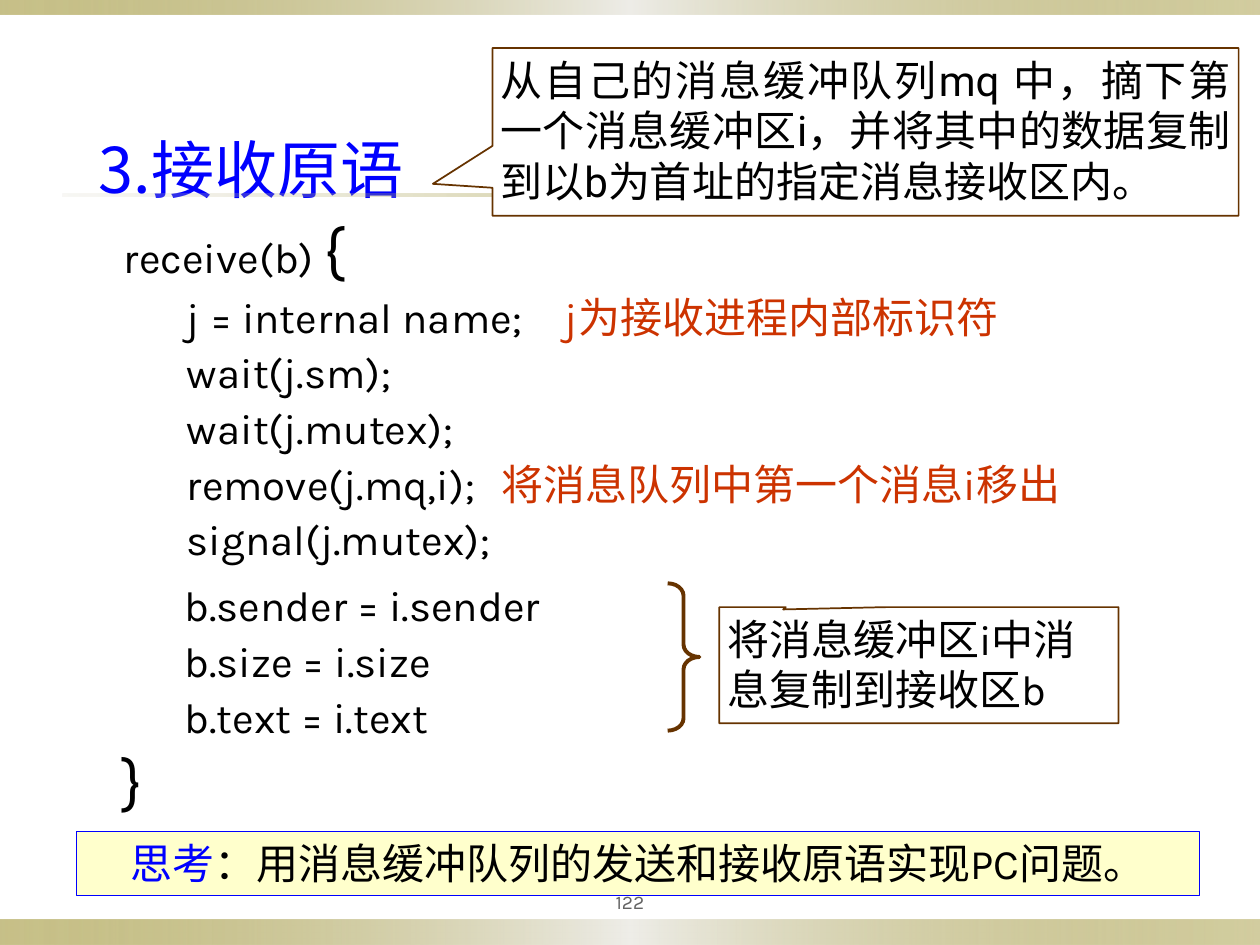
"""Build the slide on the receive primitive of message buffering."""
from lxml import etree
from pptx import Presentation
from pptx.dml.color import RGBColor
from pptx.enum.shapes import MSO_SHAPE
from pptx.enum.text import MSO_ANCHOR, PP_ALIGN
from pptx.oxml import parse_xml
from pptx.util import Cm, Pt

NS = "http://schemas.openxmlformats.org/drawingml/2006/main"
HAN, CODE, MIX = "Noto Sans CJK SC", "Karla", "Roboto"
BLACK, BLUE, RED, BROWN = "000000", "0000FF", "CC3300", "663300"
LEFT, MID, JUST = PP_ALIGN.LEFT, PP_ALIGN.CENTER, PP_ALIGN.JUSTIFY

deck = Presentation()
deck.slide_width, deck.slide_height = Cm(25.4), Cm(19.05)
slide = deck.slides.add_slide(deck.slide_layouts[5])
shapes = slide.shapes


def style(font, size=None, color=None, face=None):
    if size:
        font.size = Pt(size)
    if color:
        font.color.rgb = RGBColor.from_string(color)
    if face:
        font.name = face
        etree.SubElement(font._element, f"{{{NS}}}ea", typeface=HAN)


def write(shape, lines, align, size=24, color=BLACK, face=CODE, anchor=MSO_ANCHOR.TOP):
    frame = shape.text_frame
    frame.word_wrap, frame.vertical_anchor = True, anchor
    frame.margin_left = frame.margin_right = Cm(0.16)
    frame.margin_top = frame.margin_bottom = Cm(0.13)
    for i, runs in enumerate(lines):
        para = frame.paragraphs[0] if i == 0 else frame.add_paragraph()
        para.alignment = align
        style(para.font, size, color, face)
        for text, *look in runs:
            run = para.add_run()
            run.text = text
            style(run.font, *look)
    return frame.paragraphs


bars = [
    (0, 18.54, 25.4, 0.51, ("918415", 50), ("EEEDE8", 100), ("918415", 40)),
    (0, 0, 25.4, 0.3, ("918415", 50), ("EEEDE8", 100), ("918415", 40)),
    (1.27, 3.91, 22.86, 0.05, ("DCD9CC", 20), ("918415", 40), ("DCD9CC", 50)),
]
for x, y, w, h, *stops in bars:
    bar = shapes.add_shape(MSO_SHAPE.RECTANGLE, Cm(x), Cm(y), Cm(w), Cm(h))
    bar.shadow.inherit = False
    bar.line.fill.background()
    bar.fill.background()
    marks = "".join(
        f'<a:gs pos="{i * 50000}"><a:srgbClr val="{tone}"><a:alpha val="{alpha * 1000}"/>'
        f"</a:srgbClr></a:gs>"
        for i, (tone, alpha) in enumerate(stops))
    grad = parse_xml(f'<a:gradFill xmlns:a="{NS}"><a:gsLst>{marks}</a:gsLst>'
                     '<a:lin ang="0" scaled="0"/></a:gradFill>')
    none = bar._element.spPr.find(f"{{{NS}}}noFill")
    bar._element.spPr.replace(none, grad)

page = shapes.add_textbox(Cm(11.43), Cm(17.78), Cm(2.54), Cm(0.79))
write(page, [[("122",)]], MID, 11, "636363", anchor=MSO_ANCHOR.MIDDLE)

title = shapes.title
title.left, title.top, title.width, title.height = Cm(1.83), Cm(2.51), Cm(11.2), Cm(1.78)
write(title, [[("3.接收原语",)]], LEFT, 36, BLUE, HAN)

code = [
    [("receive(b) ",), ("{", 36)],
    [("j = internal name;\t",), ("j为接收进程内部标识符", None, RED)],
    [("wait(j.sm);",)],
    [("wait(j.mutex);",)],
    [("remove(j.mq,i);\t",), ("将消息队列中第一个消息i移出", None, RED)],
    [("signal(j.mutex);",)],
]
body = shapes.add_textbox(Cm(2.34), Cm(4.11), Cm(22.23), Cm(7.44))
head, *steps = write(body, code, JUST)

copy = [[("b.sender = i.sender",)], [("b.size = i.size",)], [("b.text = i.text",)], [("}", 36)]]
tail = shapes.add_textbox(Cm(2.29), Cm(11.56), Cm(9.98), Cm(5.08))
*moves, end = write(tail, copy, JUST)

for para in [head, *steps, *moves]:
    para.space_before = Pt(3)
for para in steps + moves:
    para._p.get_or_add_pPr().set("marL", str(Cm(1.27)))
    para._p.pPr.set("indent", "0")
for para, stop in ((steps[0], 9.2), (steps[3], 8.1)):
    tabs = parse_xml(f'<a:tabLst xmlns:a="{NS}"><a:tab pos="{Cm(stop)}" algn="l"/></a:tabLst>')
    para._p.pPr.find(f"{{{NS}}}defRPr").addprevious(tabs)

goal = [("从自己的消息缓冲队列",), ("mq ", None, None, MIX), ("中，摘下第一个消息缓冲区",),
        ("i", None, None, MIX), ("，并将其中的数据复制到以",), ("b", None, None, MIX),
        ("为首址的指定消息接收区内。",)]
note = [("将消息缓冲区i中消息复制到接收区b",)]
task = [("思考", None, BLUE), ("：用消息缓冲队列的发送和接收原语实现PC问题。",)]
CALL = MSO_SHAPE.RECTANGULAR_CALLOUT
parts = [
    (CALL, 14.5, 12.24, 8.05, 2.34, (-0.34, -0.48), "FFFFFF", BROWN, 1, note, LEFT, CODE),
    (MSO_SHAPE.RIGHT_BRACE, 13.46, 11.76, 0.64, 2.97, (0.39, 0.5), None, BROWN, 2.25,
     None, None, None),
    (CALL, 9.93, 0.97, 15.04, 3.38, (-0.58, 0.31), "FFFFFF", BROWN, 1, goal, JUST, HAN),
    (MSO_SHAPE.RECTANGLE, 1.55, 16.76, 22.63, 1.3, (), "FFFFCC", BLUE, 0.5, task, MID, CODE),
]
for kind, x, y, w, h, bends, fill, edge, width, runs, align, face in parts:
    part = shapes.add_shape(kind, Cm(x), Cm(y), Cm(w), Cm(h))
    part.shadow.inherit = False
    for i, bend in enumerate(bends):
        part.adjustments[i] = bend
    if fill:
        part.fill.solid()
        part.fill.fore_color.rgb = RGBColor.from_string(fill)
    else:
        part.fill.background()
    part.line.color.rgb = RGBColor.from_string(edge)
    part.line.width = Pt(width)
    if runs:
        write(part, [runs], align, face=face)

deck.save("out.pptx")
